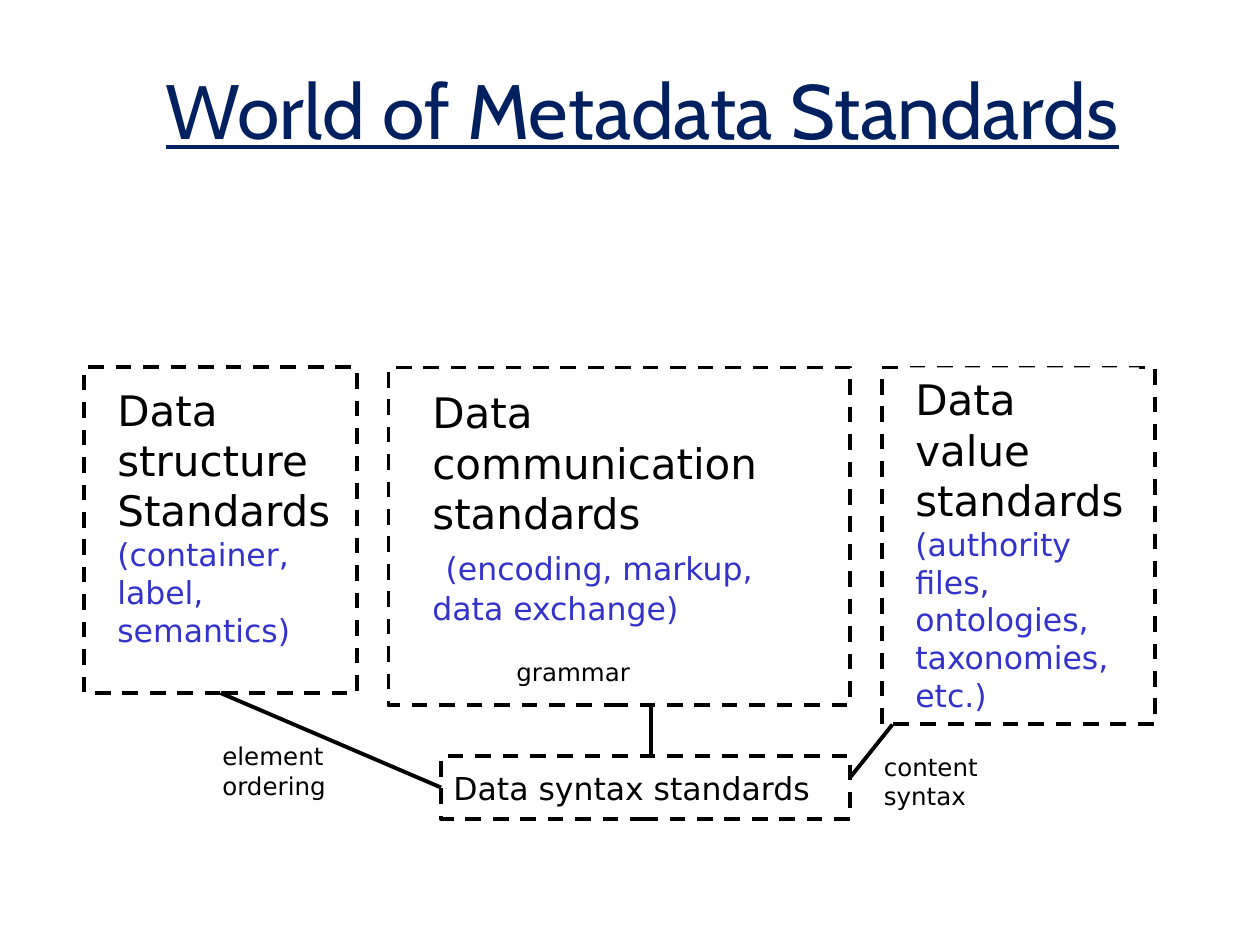
from dataclasses import dataclass
from lxml.etree import SubElement
from pptx import Presentation
from pptx.dml.color import RGBColor as Color
from pptx.enum.dml import MSO_LINE_DASH_STYLE as Dash
from pptx.enum.shapes import MSO_CONNECTOR as Connector, MSO_SHAPE as Shape
from pptx.enum.text import MSO_ANCHOR as Anchor, PP_ALIGN as Align
from pptx.oxml.ns import qn
from pptx.util import Pt


@dataclass(frozen=True)
class Theme:
    navy: str = "002060"
    black: str = "000000"
    blue: str = "3333CC"
    white: str = "FFFFFF"
    title_font: str = "Cabin"
    body_font: str = "DejaVu Sans"
    title: int = 44
    heading: int = 24
    detail: int = 18
    label: int = 14
    line: float = 2.25


THEME = Theme()
HEADING = dict(size=THEME.heading)
DETAIL = dict(size=THEME.detail, color=THEME.blue)
LABEL = dict(size=THEME.label)

TITLE = ("World of Metadata Standards", (34, 32, 666, 72))

FRAMES = {
    "structure": (48, 210, 156, 186),
    "communication": (222, 210, 264, 193),
    "value": (504, 210, 156, 204),
    "syntax": (252, 432, 234, 36),
}

STANDARDS = [
    ((60, 216, 144, 158), False, [
        ("Data structure", HEADING),
        ("Standards", HEADING),
        ("(container, label, semantics)", DETAIL),
    ]),
    ((516, 210, 135, 202), True, [
        ("Data value standards", HEADING),
        ("(authority files, ontologies, taxonomies, etc.)", DETAIL),
    ]),
    ((240, 217.5, 228, 145.5), True, [
        ("Data communication standards", HEADING),
        ("(encoding, markup,", dict(DETAIL, indent=7.6, before=6, after=1.4)),
        ("data exchange)", DETAIL),
    ]),
]

LABELS = [
    (["element", "ordering"], (120, 420, 80, 41)),
    (["grammar"], (288, 372, 84, 24)),
    (["content\vsyntax"], (498, 426, 119, 24)),
]

FREE_LINES = [((372, 432), (372, 403)), ((486, 444), (510, 414))]


def points(values):
    return [Pt(value) for value in values]


def write(box, text, *, size, color=THEME.black, font=THEME.body_font, align=Align.LEFT,
          underline=None, indent=0, before=0, after=0, first=False):
    frame = box.text_frame
    para = frame.paragraphs[0] if first else frame.add_paragraph()
    para.text = text
    para.alignment = align
    para.space_before, para.space_after = Pt(before), Pt(after)
    if indent:
        para._p.get_or_add_pPr().set("indent", str(Pt(indent)))
    for span in para.runs:
        span.font.name, span.font.size = font, Pt(size)
        span.font.color.rgb = Color.from_string(color)
        span.font.underline = underline


def fill_text(box, rows, anchor=Anchor.TOP):
    box.text_frame.word_wrap = True
    box.text_frame.vertical_anchor = anchor
    for index, (text, style) in enumerate(rows):
        write(box, text, first=index == 0, **style)


def add_box(page, place, filled=True, dashed=False):
    box = page.shapes.add_shape(Shape.RECTANGLE, *points(place))
    box.shadow.inherit = False
    if filled:
        box.fill.solid()
        box.fill.fore_color.rgb = Color.from_string(THEME.white)
    else:
        box.fill.background()
    if dashed:
        box.line.color.rgb = Color.from_string(THEME.black)
        box.line.width = Pt(THEME.line)
        box.line.dash_style = Dash.DASH
    else:
        box.line.fill.background()
    return box


def add_line(page, start=(0, 0), end=(0, 0)):
    line = page.shapes.add_connector(Connector.STRAIGHT, *points(start + end))
    line.line.color.rgb = Color.from_string(THEME.black)
    line.line.width = Pt(THEME.line)
    SubElement(line._element.spPr, qn("a:effectLst"))
    return line


def main():
    deck = Presentation()
    deck.slide_width, deck.slide_height = Pt(720), Pt(540)
    page = deck.slides.add_slide(deck.slide_layouts[6])

    text, place = TITLE
    style = dict(size=THEME.title, color=THEME.navy, font=THEME.title_font,
                 align=Align.CENTER, underline=True)
    fill_text(page.shapes.add_textbox(*points(place)), [(text, style)])

    frames = {name: add_box(page, place, filled=name != "structure", dashed=True)
              for name, place in FRAMES.items()}
    fill_text(frames["syntax"], [("Data syntax standards", dict(size=THEME.detail))],
              Anchor.MIDDLE)

    for place, filled, rows in STANDARDS:
        fill_text(add_box(page, place, filled), rows)

    ordering = add_line(page)
    ordering.begin_connect(frames["syntax"], 1)
    ordering.end_connect(frames["structure"], 2)
    for start, end in FREE_LINES:
        add_line(page, start, end)

    for lines, place in LABELS:
        fill_text(page.shapes.add_textbox(*points(place)), [(line, LABEL) for line in lines])

    deck.save("out.pptx")


if __name__ == "__main__":
    main()
